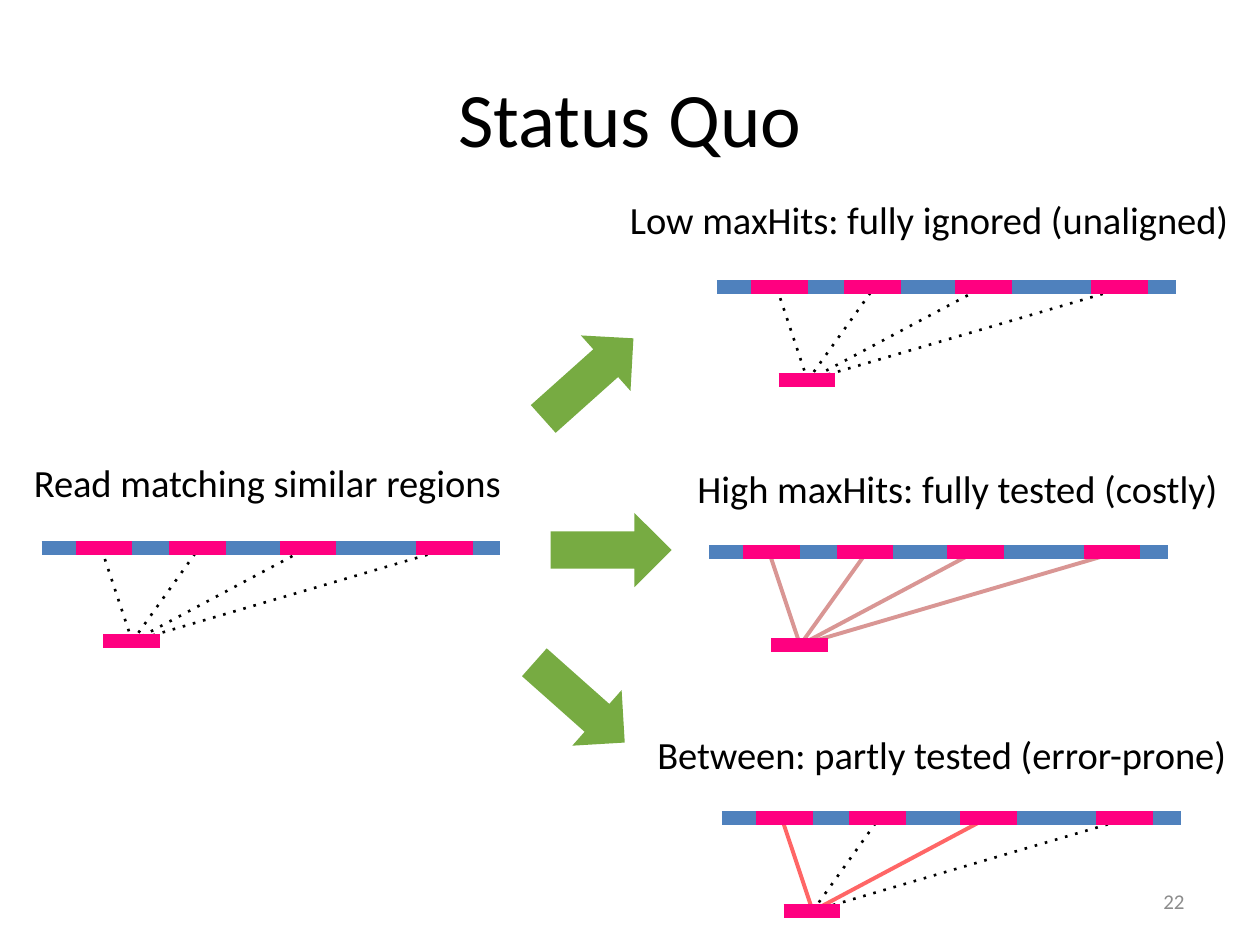
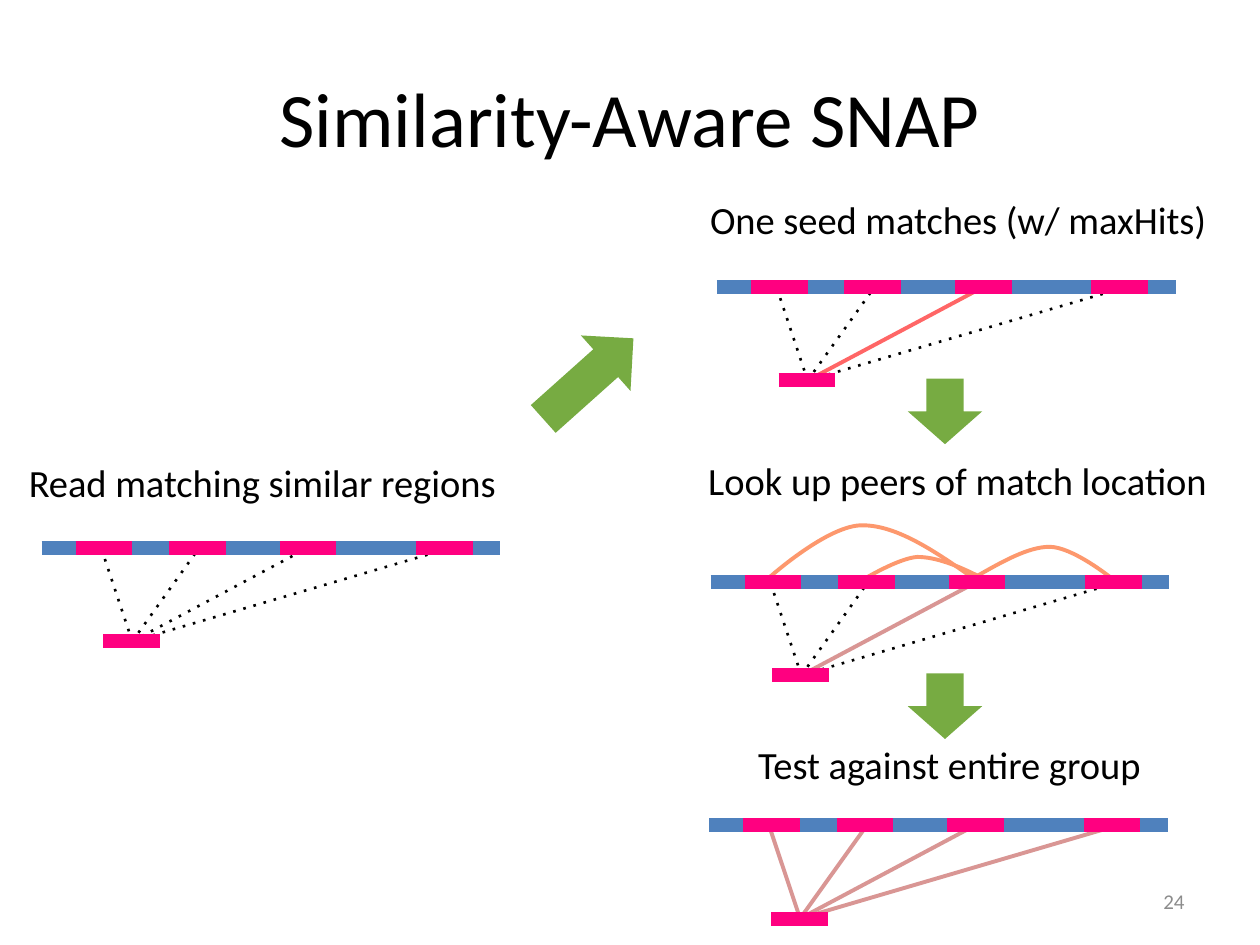
from dataclasses import dataclass

from lxml import etree
from pptx import Presentation
from pptx.dml.color import RGBColor
from pptx.enum.shapes import MSO_CONNECTOR, MSO_SHAPE
from pptx.enum.text import MSO_ANCHOR, MSO_AUTO_SIZE, PP_ALIGN
from pptx.oxml.ns import qn
from pptx.util import Inches, Pt

STRAIGHT = MSO_CONNECTOR.STRAIGHT
RIGHT_ARROW = MSO_SHAPE.RIGHT_ARROW
MIDDLE = MSO_ANCHOR.MIDDLE
GROW = MSO_AUTO_SIZE.SHAPE_TO_FIT_TEXT
LEFT, CENTER, RIGHT = PP_ALIGN.LEFT, PP_ALIGN.CENTER, PP_ALIGN.RIGHT
TITLE_ONLY = 5


@dataclass(frozen=True)
class Theme:
    font: str = "Calibri"
    text: str = "000000"
    page_number: str = "8C8C8C"
    genome: str = "4F81BD"
    region: str = "FF0080"
    arrow: str = "77AB42"
    tested: str = "D99694"
    matched: str = "FF6666"
    peer: str = "FD986D"
    title_size: int = 44
    label_size: int = 22
    number_size: int = 12
    bar_width: float = 8
    link_width: float = 2.25
    dotted_width: float = 1.5


THEME = Theme()

# Kinds of link between a read and a region: colour, width, dotted
UNTESTED = (THEME.text, THEME.dotted_width, True)
TESTED = (THEME.tested, THEME.link_width, False)
MATCHED = (THEME.matched, THEME.link_width, False)

# Alignment drawing, measured from the left end of the genome bar
GENOME_LENGTH = 3.64
REGION_LENGTH = 0.45
REGION_STARTS = (0.27, 1.01, 1.89, 2.97)
READ_START, READ_DROP = 0.49, 0.74
LINK_START = (0.72, READ_DROP)
LINK_ENDS = ((0.49, 0.05), (1.25, 0), (2.11, 0), (3.31, -0.02))

# Arcs joining the matched region to its peers: start, then cubic Bézier triples
PEER_ARCS = (
    ((2.1, -0.04), (2.31, -0.16), (2.52, -0.28), (2.69, -0.28),
     (2.87, -0.28), (3.17, -0.04), (3.17, -0.04)),
    ((2.12, -0.05), (1.96, -0.13), (1.79, -0.2), (1.64, -0.2),
     (1.49, -0.19), (1.21, -0.02), (1.21, -0.02)),
    ((2.1, -0.02), (1.79, -0.24), (1.48, -0.45), (1.21, -0.45),
     (0.94, -0.46), (0.47, -0.04), (0.47, -0.04)),
)


def inches(*lengths):
    return [Inches(length) for length in lengths]


def write(frame, words, size, color, align):
    """Put one formatted paragraph in a text frame."""
    frame.text = words
    paragraph = frame.paragraphs[0]
    paragraph.alignment = align
    paragraph.font.name = THEME.font
    paragraph.font.size = Pt(size)
    paragraph.font.color.rgb = RGBColor.from_string(color)


def add_line(shapes, start, end, color, width, dotted=False):
    line = shapes.add_connector(STRAIGHT, *inches(*start, *end))
    line.line.color.rgb = RGBColor.from_string(color)
    line.line.width = Pt(width)
    if dotted:
        etree.SubElement(line.get_or_add_ln(), qn("a:prstDash"), val="dot")
    etree.SubElement(line._element.spPr, qn("a:effectLst"))


def add_arrow(shapes, left, top, width, height, rotation):
    arrow = shapes.add_shape(RIGHT_ARROW, *inches(left, top, width, height))
    arrow.rotation = rotation
    arrow.shadow.inherit = False
    arrow.fill.solid()
    arrow.fill.fore_color.rgb = RGBColor.from_string(THEME.arrow)
    arrow.line.fill.background()


def bend(outline):
    """Turn each three straight segments of an outline into one cubic curve."""
    segments = list(outline.iter(qn("a:lnTo")))
    for first in range(0, len(segments), 3):
        curve, *rest = segments[first:first + 3]
        curve.tag = qn("a:cubicBezTo")
        for segment in rest:
            curve.append(segment[0])
            segment.getparent().remove(segment)


def add_peer_arcs(shapes, left, top):
    for arc in PEER_ARCS:
        start, *controls = [inches(left + x, top + y) for x, y in arc]
        builder = shapes.build_freeform(*start)
        builder.add_line_segments(controls, close=False)
        curve = builder.convert_to_shape()
        bend(curve._element)
        curve.shadow.inherit = False
        curve.fill.background()
        curve.line.color.rgb = RGBColor.from_string(THEME.peer)
        curve.line.width = Pt(THEME.link_width)


def add_alignment(shapes, origin, label, label_box, links, align=CENTER):
    """Labelled genome bar with a read linked to its four similar regions.

    The label box (left, top, width) is measured from the origin.
    """
    left, top = origin

    # Label
    dx, dy, width = label_box
    caption = shapes.add_textbox(*inches(left + dx, top + dy, width, 0.47)).text_frame
    caption.word_wrap = False
    caption.auto_size = GROW
    write(caption, label, THEME.label_size, THEME.text, align)

    # Links from the read to the regions
    read_end = (left + LINK_START[0], top + LINK_START[1])
    for (x, y), link in zip(LINK_ENDS, links):
        add_line(shapes, read_end, (left + x, top + y), *link)

    # Genome, its similar regions, and the read
    bars = [(0, 0, GENOME_LENGTH, THEME.genome)]
    bars += [(start, 0, REGION_LENGTH, THEME.region) for start in REGION_STARTS]
    bars.append((READ_START, READ_DROP, REGION_LENGTH, THEME.region))
    for x, y, length, color in bars:
        add_line(shapes, (left + x, top + y), (left + x + length, top + y),
                 color, THEME.bar_width)


def add_step(slide, origin, label, label_box, links, arrow, peers=False):
    """Grouped alignment with the arrow that leads to it.

    The arrow (left, top, width, height, rotation) is measured from the origin.
    """
    left, top = origin
    shapes = slide.shapes.add_group_shape().shapes
    if peers:
        add_peer_arcs(shapes, left, top)
    add_alignment(shapes, origin, label, label_box, links)
    dx, dy, *size_and_turn = arrow
    add_arrow(shapes, left + dx, top + dy, *size_and_turn)


def add_base_slide(deck, title, number, label_shift):
    """Slide with title, page number and the starting alignment on the left."""
    slide = deck.slides.add_slide(deck.slide_layouts[TITLE_ONLY])
    heading = slide.shapes.title
    heading.left, heading.top, heading.width, heading.height = inches(0.5, 0.3, 9, 1.25)
    heading.text_frame.vertical_anchor = MIDDLE
    write(heading.text_frame, title, THEME.title_size, THEME.text, CENTER)

    add_alignment(slide.shapes, (0.33, 4.35), "Read matching similar regions",
                  (label_shift, -0.76, 3.92), [UNTESTED] * 4, LEFT)

    page = slide.shapes.add_textbox(*inches(7.17, 6.95, 2.33, 0.4)).text_frame
    page.word_wrap = True
    page.vertical_anchor = MIDDLE
    write(page, number, THEME.number_size, THEME.page_number, RIGHT)
    return slide


def add_status_quo(deck):
    slide = add_base_slide(deck, "Status Quo", "22", -0.16)
    add_step(slide, (5.63, 4.38), "High maxHits: fully tested (costly)",
             (-0.23, -0.74, 4.4), [TESTED] * 4, (-1.26, -0.31, 0.96, 0.59, 0))
    add_step(slide, (5.69, 2.28), "Low maxHits: fully ignored (unaligned)",
             (-0.8, -0.77, 4.97), [UNTESTED] * 4, (-1.5, 0.43, 0.96, 0.59, 318.2))
    add_step(slide, (5.73, 6.49), "Between: partly tested (error-prone)",
             (-0.64, -0.74, 4.77), [MATCHED, UNTESTED] * 2,
             (-1.61, -1.21, 0.96, 0.59, 41.6))


def add_similarity_aware(deck):
    slide = add_base_slide(deck, "Similarity-Aware SNAP", "24", -0.2)
    add_step(slide, (5.69, 2.28), "One seed matches (w/ maxHits)",
             (-0.21, -0.77, 4.25), [UNTESTED, UNTESTED, MATCHED, UNTESTED],
             (-1.5, 0.43, 0.96, 0.59, 318.2))
    add_step(slide, (5.64, 4.62), "Look up peers of match location",
             (-0.18, -1.04, 4.28), [UNTESTED, UNTESTED, TESTED, UNTESTED],
             (1.6, -1.65, 0.52, 0.59, 90), peers=True)
    add_step(slide, (5.63, 6.55), "Test against entire group",
             (0.27, -0.72, 3.27), [TESTED] * 4, (1.61, -1.24, 0.52, 0.59, 90))


def main():
    deck = Presentation()
    deck.slide_width, deck.slide_height = inches(10, 7.5)
    add_status_quo(deck)
    add_similarity_aware(deck)
    deck.save("out.pptx")


if __name__ == "__main__":
    main()
